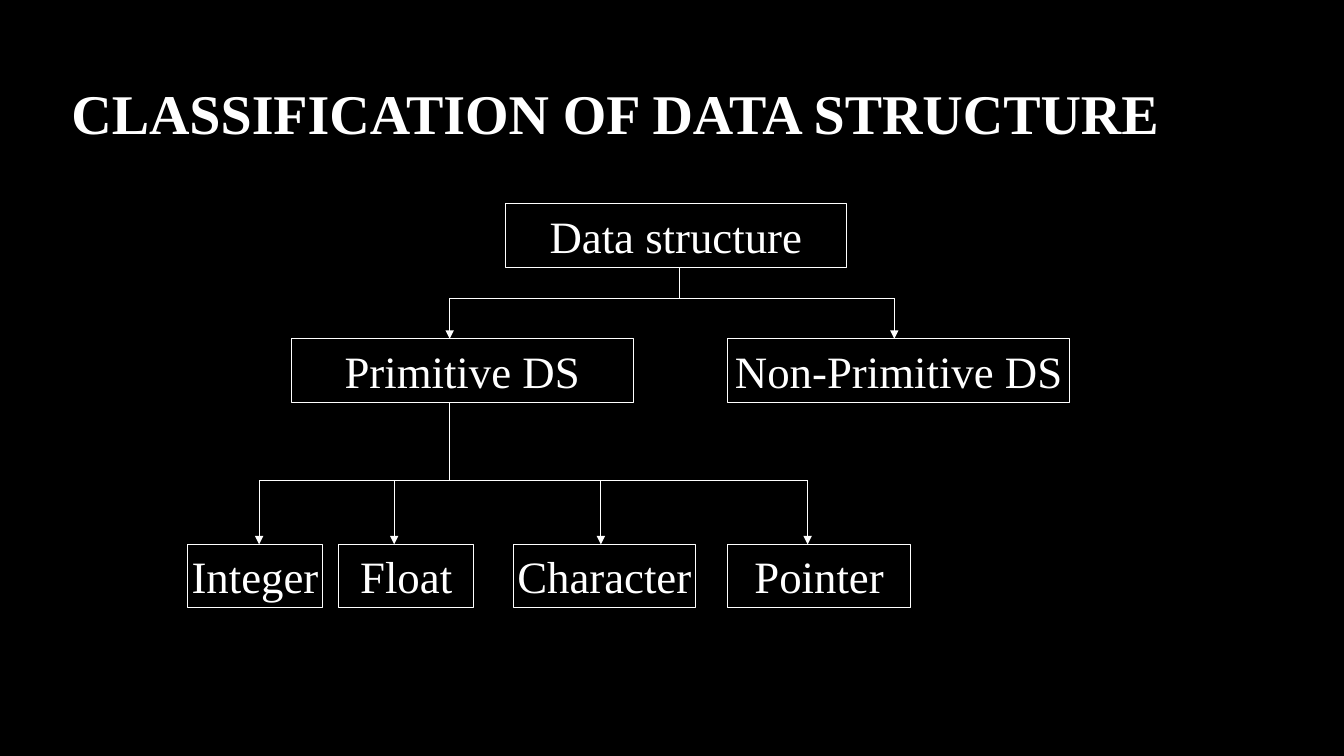
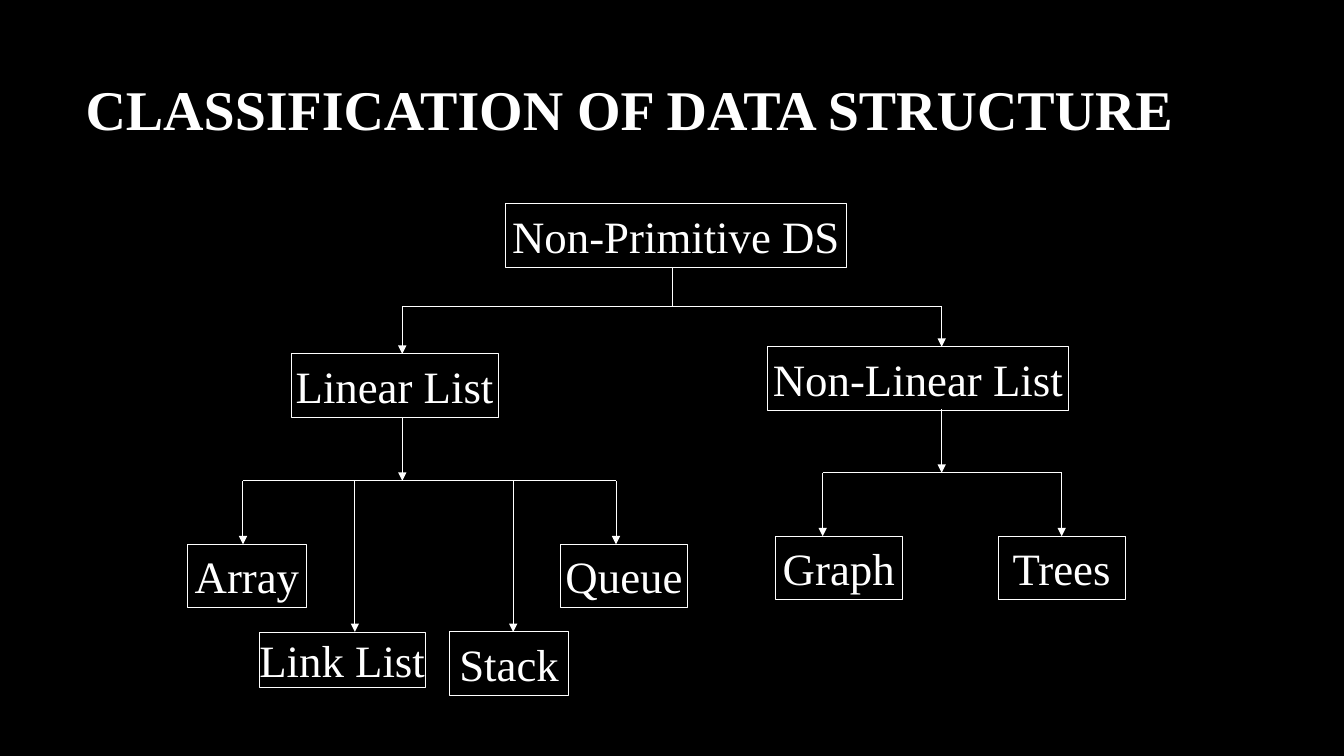
from lxml.etree import SubElement
from pptx import Presentation
from pptx.dml.color import RGBColor
from pptx.enum.shapes import MSO_CONNECTOR, MSO_SHAPE
from pptx.enum.text import MSO_ANCHOR, PP_ALIGN
from pptx.oxml.ns import qn
from pptx.util import Inches, Pt

BLACK = RGBColor(0x00, 0x00, 0x00)
WHITE = RGBColor(0xFF, 0xFF, 0xFF)
FONT = "Times New Roman"
TITLE = "CLASSIFICATION OF DATA STRUCTURE"
LINE_WIDTH = Pt(0.75)
NODE_HEIGHT = 0.63


def write(frame, text, size, align, bold=False):
    """Fill a text frame with one styled, vertically centred line."""
    frame.text = text
    frame.vertical_anchor = MSO_ANCHOR.MIDDLE
    paragraph = frame.paragraphs[0]
    paragraph.alignment = align
    font = paragraph.runs[0].font
    font.name, font.size, font.bold = FONT, Pt(size), bold
    font.color.rgb = WHITE


def add_titled_slide(deck, left, top, height):
    """Add a blank slide with the shared title."""
    slide = deck.slides.add_slide(deck.slide_layouts[6])
    title = slide.shapes.add_textbox(
        Inches(left), Inches(top), Inches(11.08), Inches(height))
    title.text_frame.word_wrap = True
    write(title.text_frame, TITLE, 40, PP_ALIGN.LEFT, bold=True)
    return slide


def add_node(slide, label, left, top, width, height=NODE_HEIGHT):
    """Draw one outlined box of the tree."""
    node = slide.shapes.add_shape(
        MSO_SHAPE.RECTANGLE,
        Inches(left), Inches(top), Inches(width), Inches(height))
    node.shadow.inherit = False
    node.fill.solid()
    node.fill.fore_color.rgb = BLACK
    node.line.color.rgb = WHITE
    node.line.width = LINE_WIDTH
    node.text_frame.word_wrap = False
    write(node.text_frame, label, 32, PP_ALIGN.CENTER)


def add_line(slide, start, end, arrow=False):
    """Draw a straight line, with an arrowhead at its end if asked."""
    line = slide.shapes.add_connector(
        MSO_CONNECTOR.STRAIGHT, *map(Inches, (*start, *end)))
    line.line.color.rgb = WHITE
    line.line.width = LINE_WIDTH
    properties = line._element.spPr
    if arrow:
        SubElement(properties.find(qn("a:ln")), qn("a:tailEnd"), type="triangle")
    SubElement(properties, qn("a:effectLst"))


def add_branch(slide, stem_x, stem_top, rail_y, drops, stem_arrow=False):
    """Join a parent to its children: stem, rail and one arrow per (x, y) drop."""
    columns = [x for x, _ in drops]
    add_line(slide, (stem_x, stem_top), (stem_x, rail_y), stem_arrow)
    add_line(slide, (min(columns), rail_y), (max(columns), rail_y))
    for x, y in drops:
        add_line(slide, (x, rail_y), (x, y), arrow=True)


def build_primitive(deck):
    """Build the slide on primitive structures."""
    slide = add_titled_slide(deck, 0.61, 0.67, 0.88)
    add_node(slide, "Data structure", 5.01, 2.02, 3.39)
    add_branch(slide, 6.74, 2.65, 2.96, [(4.46, 3.36), (8.87, 3.36)])
    for label, left in (("Primitive DS", 2.89), ("Non-Primitive DS", 7.22)):
        add_node(slide, label, left, 3.36, 3.39)
    add_branch(slide, 4.46, 3.99, 4.77,
               [(x, 5.4) for x in (2.57, 3.91, 5.96, 8.01)])
    for label, left, width in (("Integer", 1.86, 1.34), ("Float", 3.36, 1.34),
                               ("Character", 5.09, 1.81), ("Pointer", 7.22, 1.81)):
        add_node(slide, label, left, 5.4, width)


def build_non_primitive(deck):
    """Build the slide on non-primitive structures."""
    slide = add_titled_slide(deck, 0.75, 0.59, 0.96)
    add_node(slide, "Non-Primitive DS", 5.01, 2.02, 3.39)
    add_branch(slide, 6.67, 2.65, 3.04, [(3.99, 3.51), (9.34, 3.44)])
    add_node(slide, "Linear List", 2.89, 3.51, 2.05)
    add_node(slide, "Non-Linear List", 7.61, 3.44, 2.99)

    add_node(slide, "Array", 1.86, 5.4, 1.18)
    add_node(slide, "Link List", 2.57, 6.27, 1.65, height=0.55)
    add_node(slide, "Stack", 4.46, 6.27, 1.18)
    add_node(slide, "Queue", 5.56, 5.4, 1.26)
    add_branch(slide, 3.99, 4.14, 4.77,
               [(2.41, 5.4), (3.52, 6.27), (5.09, 6.27), (6.11, 5.4)],
               stem_arrow=True)

    add_branch(slide, 9.34, 4.06, 4.69, [(8.16, 5.32), (10.53, 5.32)],
               stem_arrow=True)
    for label, left in (("Graph", 7.69), ("Trees", 9.9)):
        add_node(slide, label, left, 5.32, 1.26)


def main():
    """Create the deck and save it."""
    deck = Presentation()
    deck.slide_width, deck.slide_height = Inches(13.33), Inches(7.5)
    backdrop = deck.slide_master.background.fill
    backdrop.solid()
    backdrop.fore_color.rgb = BLACK
    build_primitive(deck)
    build_non_primitive(deck)
    deck.save("out.pptx")


main()
